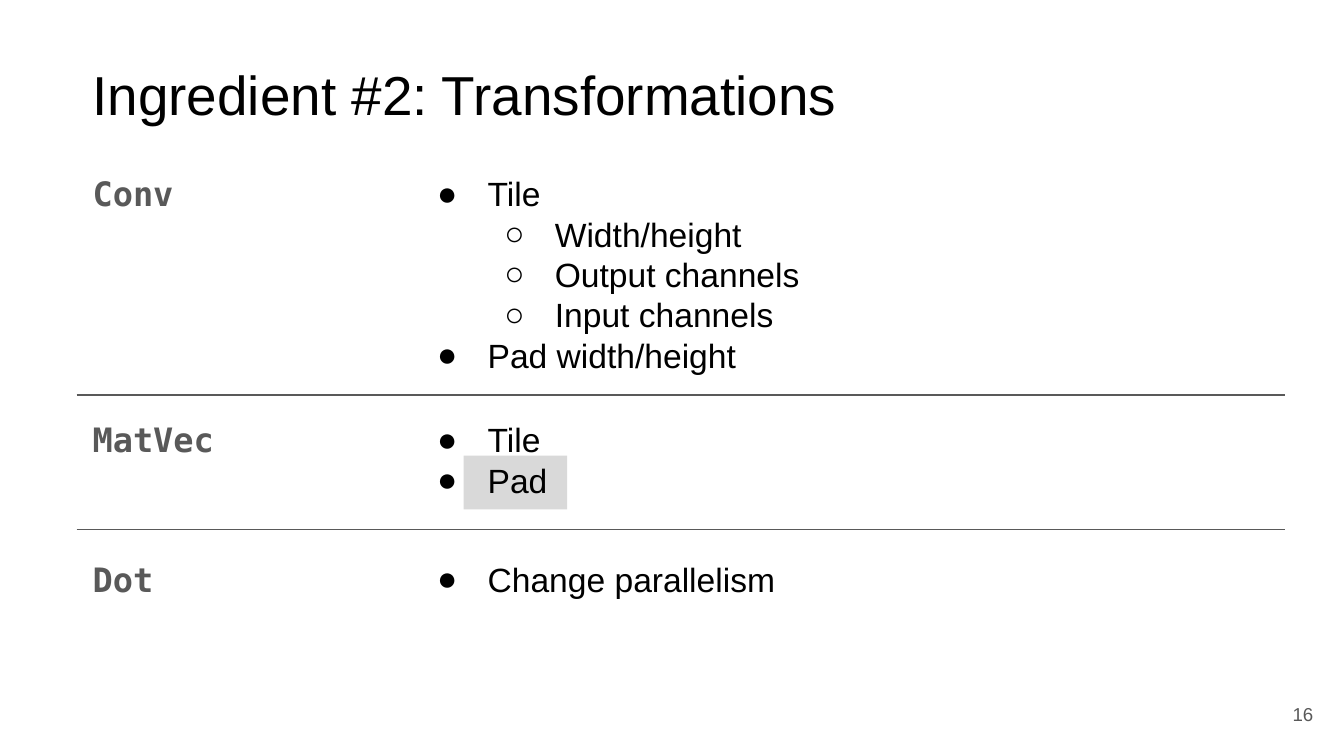
from lxml.etree import SubElement
from pptx import Presentation
from pptx.dml.color import RGBColor
from pptx.enum.shapes import MSO_CONNECTOR, MSO_SHAPE
from pptx.enum.text import MSO_ANCHOR, PP_ALIGN
from pptx.oxml.ns import qn
from pptx.util import Inches, Pt

COLORS = {"ink": "000000", "muted": "595959", "highlight": "D9D9D9"}
BULLETS = ["●", "○"]

deck = Presentation()
deck.slide_width = Inches(10)
deck.slide_height = deck.slide_width * 9 // 16
page = deck.slides.add_slide(deck.slide_layouts[6])
cell = deck.slide_width // 100

label_column, label_width = 5.9, 29.5
list_column, list_width = 30.3, 67.5
rule_start, rule_end = 5.7, 95.6
line_height, inset = 3, 1


def cells(*counts):
    return [round(count * cell) for count in counts]


def add_text(lines, left, top, width, height, size=18, font="Arial", color="ink",
             bold=False, align=PP_ALIGN.LEFT, anchor=MSO_ANCHOR.TOP, bulleted=False):
    box = page.shapes.add_textbox(*cells(left, top, width, height))
    frame = box.text_frame
    frame.word_wrap = True
    frame.vertical_anchor = anchor
    frame.margin_left = frame.margin_right = inset * cell
    frame.margin_top = frame.margin_bottom = inset * cell
    for index, (level, text) in enumerate(lines):
        para = frame.paragraphs[0] if index == 0 else frame.add_paragraph()
        para.alignment = align
        para.level = level
        span = para.add_run()
        span.text = text
        span.font.size, span.font.name, span.font.bold = Pt(size), font, bold
        span.font.color.rgb = RGBColor.from_string(COLORS[color])
        if bulleted:
            properties = para._p.get_or_add_pPr()
            properties.set("marL", str(5 * cell * (level + 1)))
            properties.set("indent", str(round(-3.75 * cell)))
            bullet_color = SubElement(properties, qn("a:buClr"))
            SubElement(bullet_color, qn("a:srgbClr")).set("val", COLORS[color])
            SubElement(properties, qn("a:buFont")).set("typeface", font)
            SubElement(properties, qn("a:buChar")).set("char", BULLETS[level])


highlight = page.shapes.add_shape(MSO_SHAPE.RECTANGLE, *cells(34.5, 33.9, 7.7, 4))
highlight.shadow.inherit = False
highlight.fill.solid()
highlight.fill.fore_color.rgb = RGBColor.from_string(COLORS["highlight"])
highlight.line.fill.background()

add_text([(0, "Ingredient #2: Transformations")], label_column, 3.5,
         100 - label_column, 8.4, size=29.4)

operators = [
    ("Conv", 11.9, [(0, "Tile"), (1, "Width/height"), (1, "Output channels"),
                    (1, "Input channels"), (0, "Pad width/height")]),
    ("MatVec", 30.2, [(0, "Tile"), (0, "Pad")]),
    ("Dot", 40.6, [(0, "Change parallelism")]),
]
for name, top, transformations in operators:
    add_text([(0, name)], label_column, top, label_width, 3.4,
             font="DejaVu Sans Mono", color="muted", bold=True)
    add_text(transformations, list_column, top, list_width,
             line_height * len(transformations) + 2 * inset, bulleted=True)

for height in (29.4, 39.4):
    rule = page.shapes.add_connector(
        MSO_CONNECTOR.STRAIGHT, *cells(rule_start, height, rule_end, height))
    rule.line.color.rgb = RGBColor.from_string(COLORS["muted"])
    rule.line.width = Pt(0.75)
    SubElement(rule._element.spPr, qn("a:effectLst"))

add_text([(0, "16")], 92.7, 51, 6, 4.3, size=10, color="muted",
         align=PP_ALIGN.RIGHT, anchor=MSO_ANCHOR.MIDDLE)

deck.save("out.pptx")
